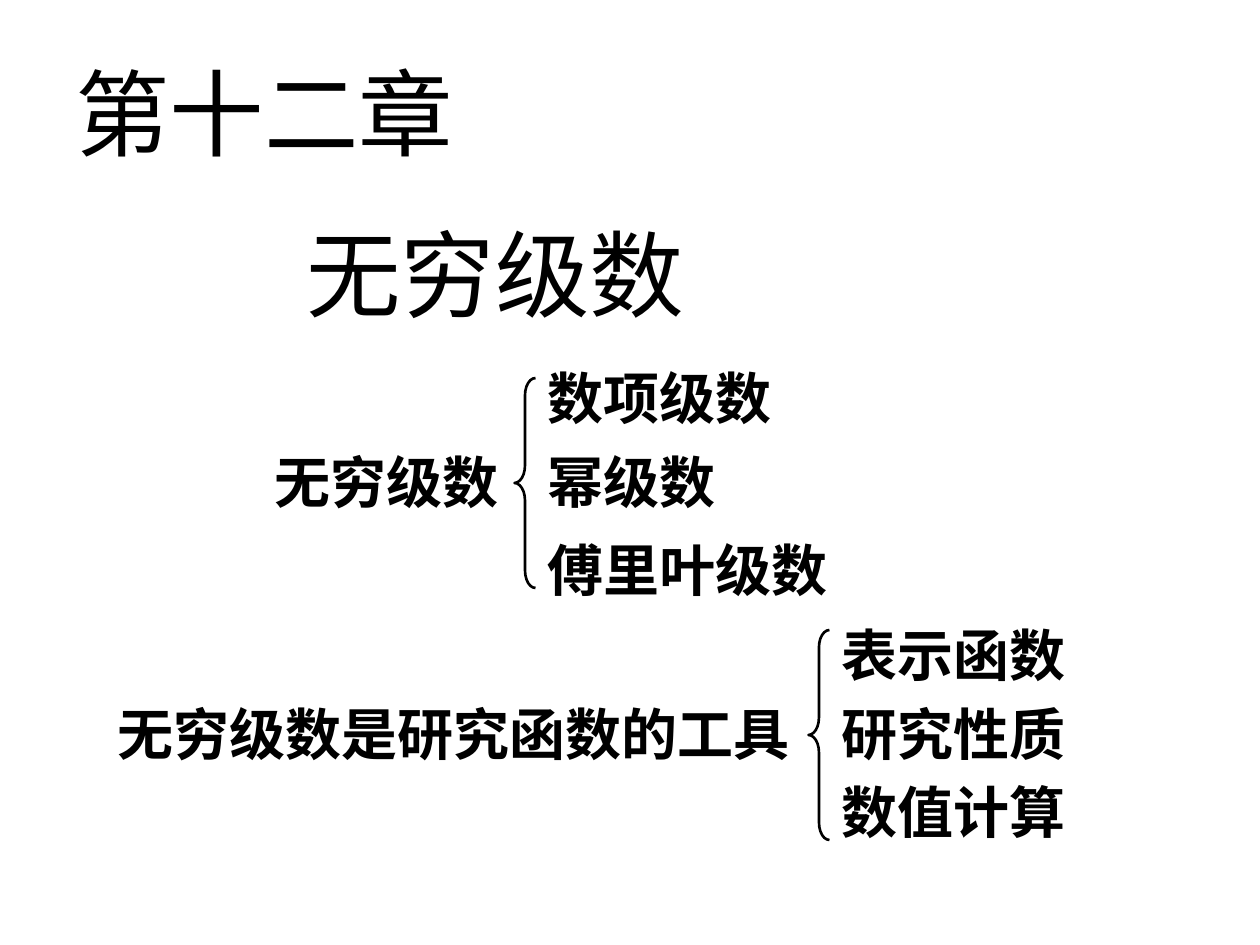
"""Build the chapter-twelve opening slide on infinite series."""
from dataclasses import dataclass

from pptx import Presentation
from pptx.dml.color import RGBColor
from pptx.enum.shapes import MSO_SHAPE
from pptx.enum.text import MSO_ANCHOR, PP_ALIGN
from pptx.oxml.ns import qn
from pptx.slide import Slide
from pptx.util import Pt

BLACK = RGBColor(0, 0, 0)
HAN_FONT = "Noto Sans CJK SC"
HEADING = {"name": HAN_FONT, "size": Pt(54), "bold": False}
BODY = {"name": "Times New Roman", "size": Pt(32), "bold": True}
LINE_HEIGHT = 46
BRACE_WIDTH, BRACE_HEIGHT = 12, 120


@dataclass(frozen=True)
class Label:
    text: str
    left: float
    top: float
    width: float
    height: float = LINE_HEIGHT


@dataclass(frozen=True)
class Outline:
    root: Label
    brace_left: float
    brace_top: float
    branches: tuple[Label, ...]


HEADINGS = (
    Label("第十二章", 36, 21.6, 273.6, 84),
    Label("无穷级数", 168, 120, 252, 72),
)
OUTLINES = (
    Outline(
        Label("无穷级数", 150, 252, 174), 294, 216,
        (
            Label("数项级数", 306, 204, 216),
            Label("幂级数", 306, 252, 156),
            Label("傅里叶级数", 306, 302.4, 235.2),
        ),
    ),
    Outline(
        Label("无穷级数是研究函数的工具", 60, 396, 426), 462, 360,
        (
            Label("表示函数", 474, 350.6, 174),
            Label("研究性质", 474, 396, 174),
            Label("数值计算", 474, 440.6, 198),
        ),
    ),
)


def draw_label(slide: Slide, label: Label, style: dict) -> None:
    """Write one line of text, centred vertically in its box."""
    box = slide.shapes.add_textbox(
        Pt(label.left), Pt(label.top), Pt(label.width), Pt(label.height)
    )
    frame = box.text_frame
    frame.word_wrap = True
    frame.vertical_anchor = MSO_ANCHOR.MIDDLE
    paragraph = frame.paragraphs[0]
    paragraph.alignment = PP_ALIGN.LEFT
    run = paragraph.add_run()
    run.text = label.text
    for attribute, value in style.items():
        setattr(run.font, attribute, value)
    run.font.color.rgb = BLACK
    east_asian = run._r.get_or_add_rPr().makeelement(
        qn("a:ea"), {"typeface": HAN_FONT}
    )
    run._r.rPr.append(east_asian)


def draw_brace(slide: Slide, left: float, top: float) -> None:
    """Draw a thin left brace."""
    brace = slide.shapes.add_shape(
        MSO_SHAPE.LEFT_BRACE, Pt(left), Pt(top), Pt(BRACE_WIDTH), Pt(BRACE_HEIGHT)
    )
    brace.adjustments[0] = 0.83
    brace.shadow.inherit = False
    brace.fill.background()
    brace.line.color.rgb = BLACK
    brace.line.width = Pt(1.5)


def draw_outline(slide: Slide, outline: Outline) -> None:
    """Draw a root label, its brace and its branches."""
    for label in (outline.root, *outline.branches):
        draw_label(slide, label, BODY)
    draw_brace(slide, outline.brace_left, outline.brace_top)


def main() -> None:
    """Create and save the presentation."""
    presentation = Presentation()
    presentation.slide_width, presentation.slide_height = Pt(720), Pt(540)
    slide = presentation.slides.add_slide(presentation.slide_layouts[6])
    for heading in HEADINGS:
        draw_label(slide, heading, HEADING)
    for outline in OUTLINES:
        draw_outline(slide, outline)
    presentation.save("out.pptx")


if __name__ == "__main__":
    main()
